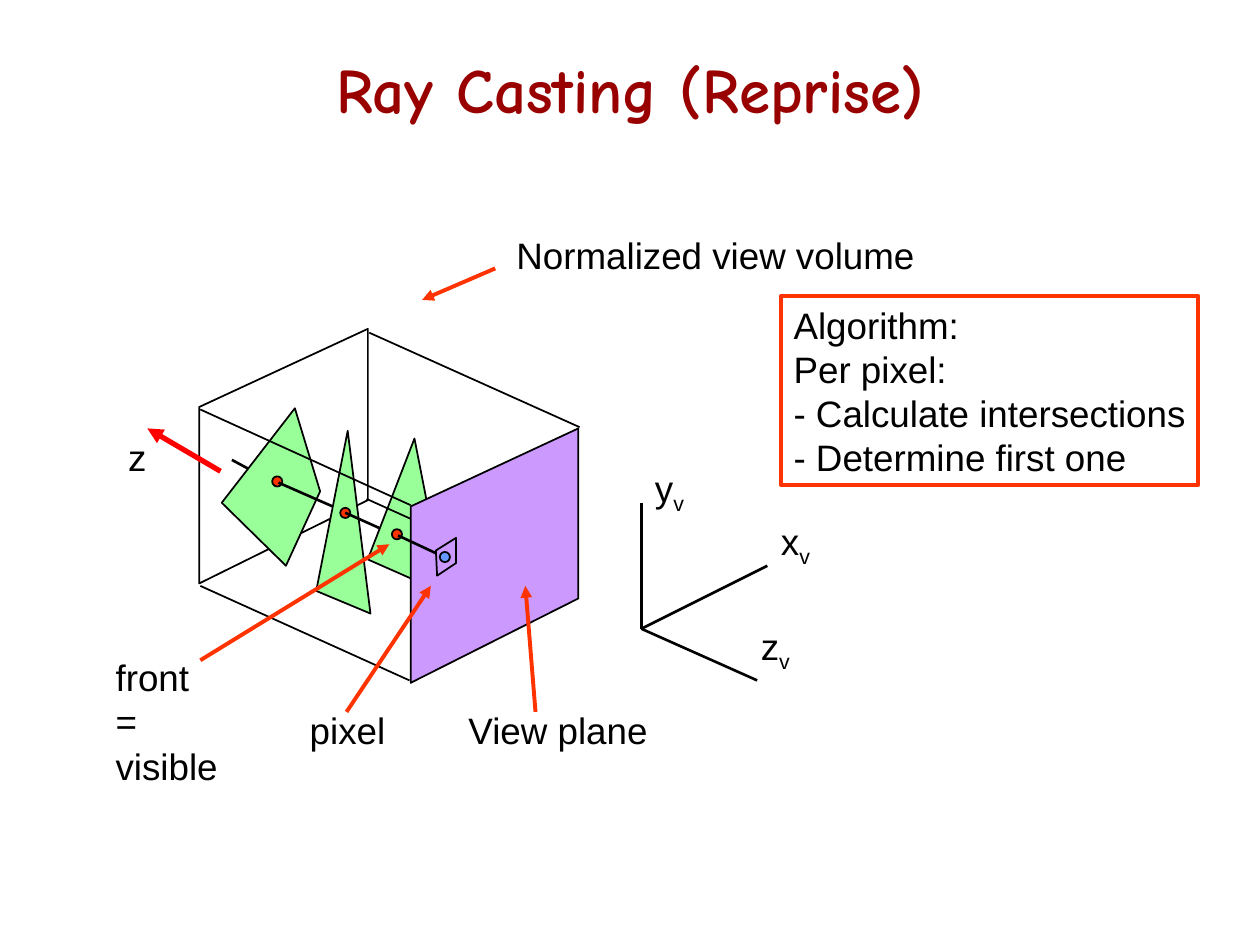
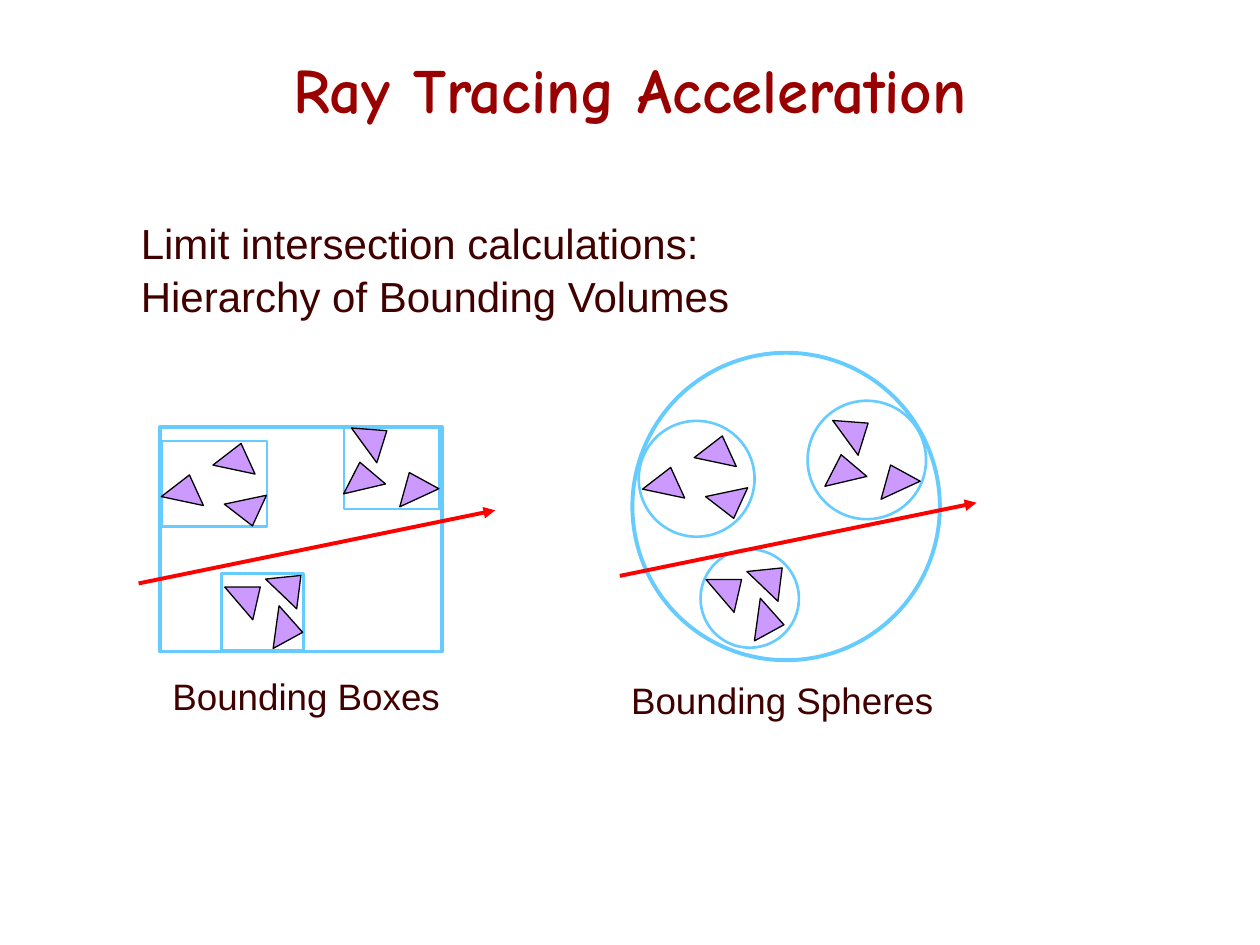
from pptx import Presentation
from pptx.dml.color import RGBColor
from pptx.enum import shapes, text
from pptx.oxml import ns
from pptx.util import Pt
from lxml import etree

BLACK, RED, ORANGE = "000000", "FF0000", "FF3300"
GREEN, PURPLE, BLUE, SKY = "99FF99", "CC99FF", "6699FF", "66CCFF"
BROWN, MAROON = "400000", "990000"
TITLE = {"name": "Comic Neue", "size": Pt(36), "bold": True}
LABEL = {"name": "Arial", "size": Pt(21)}
BODY = {"name": "Arial", "size": Pt(24)}
RECT = shapes.MSO_SHAPE.RECTANGLE
OVAL = shapes.MSO_SHAPE.OVAL
WEDGE = [(16.1, 0), (24.1, 17.5), (0, 12.4)]
WEDGES = [
    (92.2, 271.4, 0, False), (121.7, 253.4, 0, False), (128.2, 283, 0, True),
    (200.2, 241.2, 41.9, False), (193.7, 265, 334.8, False),
    (223.9, 270.7, 323.2, False), (128.2, 331.2, 37.4, False),
    (151.9, 325.4, 31.7, False), (151.9, 349.2, 85.9, False),
]


def color(code):
    return RGBColor.from_string(code)


def style(font, look, code):
    for key, val in look.items():
        setattr(font, key, val)
    font.color.rgb = color(code)


def paint(shape, fill, line, width):
    shape.shadow.inherit = False
    if fill:
        shape.fill.solid()
        shape.fill.fore_color.rgb = color(fill)
    else:
        shape.fill.background()
    shape.line.color.rgb = color(line)
    shape.line.width = Pt(width)
    return shape


def preset(slide, kind, box, fill, line, width):
    shape = slide.shapes.add_shape(kind, *map(Pt, box))
    return paint(shape, fill, line, width)


def outline(slide, points, fill, width=1):
    first, *rest = [(Pt(x), Pt(y)) for x, y in points]
    form = slide.shapes.build_freeform(*first, scale=1.0)
    form.add_line_segments(rest, close=True)
    return paint(form.convert_to_shape(), fill, BLACK, width)


def line(slide, start, end, code=BLACK, width=1.0, arrow=False):
    link = slide.shapes.add_connector(
        shapes.MSO_CONNECTOR.STRAIGHT, *map(Pt, start + end))
    link.line.color.rgb = color(code)
    link.line.width = Pt(width)
    if arrow:
        etree.SubElement(link.line._get_or_add_ln(), ns.qn("a:tailEnd"),
                         type="triangle")
    etree.SubElement(link._element.spPr, ns.qn("a:effectLst"))


def write(shape, lines, look=LABEL, code=BLACK, wrap=False, gap=0, space=1.0):
    frame = shape.text_frame
    frame.word_wrap = wrap
    frame.vertical_anchor = text.MSO_ANCHOR.TOP
    for at, words in enumerate(lines):
        para = frame.add_paragraph() if at else frame.paragraphs[0]
        para.alignment = text.PP_ALIGN.LEFT
        para.line_spacing = space
        para.space_before = Pt(gap if at else 0)
        run = para.add_run()
        run.text = words
        style(run.font, look, code)
    return frame


def label(slide, box, lines, **form):
    return write(slide.shapes.add_textbox(*map(Pt, box)), lines, **form)


def axis(slide, start, end, name, box):
    line(slide, start, end, width=1.5)
    frame = label(slide, box, [name])
    sub = frame.paragraphs[0].add_run()
    sub.text = "v"
    style(sub.font, LABEL, BLACK)
    sub._r.get_or_add_rPr().set("baseline", "-25000")


def page(deck, words):
    slide = deck.slides.add_slide(deck.slide_layouts[5])
    title = slide.shapes.title
    title.left, title.top, title.width, title.height = map(
        Pt, (54, 18, 612, 64.8))
    frame = title.text_frame
    frame.text = words
    frame.auto_size = text.MSO_AUTO_SIZE.NONE
    frame.vertical_anchor = text.MSO_ANCHOR.MIDDLE
    para = frame.paragraphs[0]
    para.alignment = text.PP_ALIGN.CENTER
    style(para.runs[0].font, TITLE, MAROON)
    return slide


def scene(slide):
    outline(slide, [(113.8, 333.4), (113.8, 232.6), (210.2, 187.9),
                    (210.2, 285.8)], None)
    for points in (
        [(168.5, 233.3), (182.9, 280.8), (163.4, 323.3), (126.7, 287.3)],
        [(198.7, 246.2), (211.7, 350.6), (180.7, 337.7)],
        [(236.9, 250.6), (254.2, 339.1), (210.2, 319.7)],
    ):
        outline(slide, points, GREEN)
    line(slide, (209.5, 285.1), (329, 339.1))
    outline(slide, [(234.7, 390.2), (234.7, 289.4), (330.5, 244.8),
                    (330.5, 342)], PURPLE)
    for start, end in (
        ((114.5, 334.8), (234, 388.8)),
        ((114.5, 234), (234.7, 288.7)),
        ((211, 190.1), (331.2, 244.1)),
    ):
        line(slide, start, end)


def ray(slide):
    for x, y in ((223.9, 302.4), (194.4, 290.2), (155.5, 272.2)):
        preset(slide, OVAL, (x, y, 5.8, 5.8), ORANGE, BLACK, 1)
    for start, end in (
        ((216.7, 301.7), (197.3, 293)),
        ((190.1, 289.4), (159.1, 275.8)),
        ((141.8, 267.8), (132.5, 262.8)),
        ((227.5, 306), (252, 317.5)),
    ):
        line(slide, start, end, width=1.5)
    outline(slide, [(249.8, 329), (249.1, 314.6), (260.6, 307.4),
                    (260.6, 321.8)], PURPLE)
    preset(slide, OVAL, (251.3, 315.4, 5.8, 5.8), BLUE, BLACK, 1)


def notes(slide):
    for start, end in (
        ((306, 406.8), (300.2, 334.8)),
        ((283, 153.4), (241.2, 171.4)),
        ((198, 406.8), (246.2, 334.8)),
        ((114.5, 377.3), (222.5, 311)),
    ):
        line(slide, start, end, ORANGE, 2.25, True)
    line(slide, (126, 269.3), (84.2, 244.8), RED, 3, True)
    for box, lines in (
        ((288, 129.6, 241.9, 32.4), ["Normalized view volume"]),
        ((260.6, 401, 116.6, 32.4), ["View plane"]),
        ((169.9, 401, 57.6, 32.4), ["pixel"]),
        ((59, 370.8, 74.2, 57.6), ["front =", "visible"]),
        ((66.2, 244.8, 24.5, 32.4), ["z"]),
    ):
        label(slide, box, lines)


def casting(deck):
    slide = page(deck, "Ray Casting (Reprise)")
    card = preset(slide, RECT, (446.4, 169.2, 238.3, 108), None, ORANGE, 2.25)
    write(card, ["Algorithm:", "Per pixel:", "- Calculate intersections",
                 "- Determine first one"])
    scene(slide)
    for name, end, spot in (
        ("x", (438.5, 323.3), (439.2, 293)),
        ("y", (366.5, 287.3), (367.2, 262.8)),
        ("z", (432.7, 388.8), (427.7, 352.8)),
    ):
        axis(slide, (366.5, 359.3), end, name, spot + (31, 36))
    ray(slide)
    notes(slide)


def cluster(slide, dx, dy):
    for x, y, turn, flip in WEDGES:
        points = [(x + dx + px, y + dy + (17.5 - py if flip else py))
                  for px, py in WEDGE]
        outline(slide, points, PURPLE, 0.75).rotation = turn
    line(slide, (79.2 + dx, 333.4 + dy), (283 + dx, 291.6 + dy),
         RED, 2.25, True)


def tracing(deck):
    slide = page(deck, "Ray Tracing Acceleration")
    label(slide, (73.4, 123.8, 396, 84.2),
          ["Limit intersection calculations:", "Hierarchy of Bounding Volumes"],
          look=BODY, code=BROWN, wrap=True, gap=4.5, space=0.9)
    bounds = (
        (OVAL, (361.4, 201.6, 175.7, 175.7),
         [(365, 240.5, 66.2, 66.2), (461.5, 229, 67.7, 67.7),
          (400.3, 313.9, 56.2, 56.2)],
         "Bounding Spheres", (353.5, 383.8), (275, -4.3)),
        (RECT, (91.4, 244.1, 161.3, 128.2),
         [(92.2, 252, 60.5, 49), (196.6, 244.1, 54.7, 46.8),
          (126.7, 327.6, 46.8, 43.9)],
         "Bounding Boxes", (91.4, 381.6), (0, 0)),
    )
    for kind, outer, inner, name, spot, shift in bounds:
        preset(slide, kind, outer, None, SKY, 2.25)
        for box in inner:
            preset(slide, kind, box, None, SKY, 1.5)
        label(slide, spot + (221.8, 41.8), [name], code=BROWN, wrap=True)
        cluster(slide, *shift)


def main():
    deck = Presentation()
    deck.slide_width, deck.slide_height = Pt(720), Pt(540)
    casting(deck)
    tracing(deck)
    deck.save("out.pptx")


if __name__ == "__main__":
    main()
